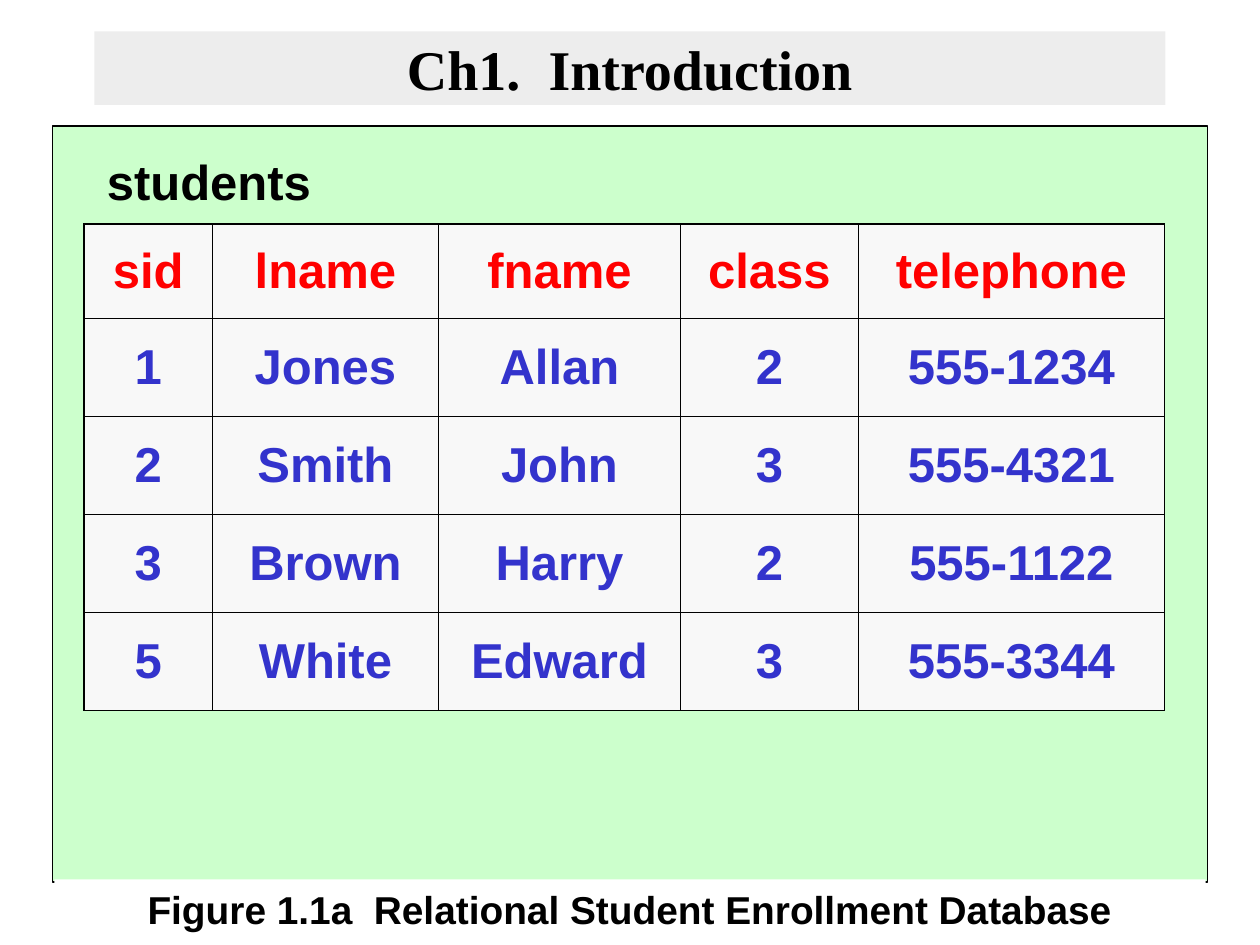
from lxml import etree
from pptx import Presentation
from pptx.dml.color import RGBColor
from pptx.enum.shapes import MSO_SHAPE
from pptx.enum.text import MSO_ANCHOR, PP_ALIGN
from pptx.oxml.ns import qn
from pptx.util import Pt

RECT = MSO_SHAPE.RECTANGLE
TOP, MID = MSO_ANCHOR.TOP, MSO_ANCHOR.MIDDLE
LEFT, MIDDLE = PP_ALIGN.LEFT, PP_ALIGN.CENTER

TITLE = "Ch1.  Introduction"
LABEL = "students"
CAPTION = "Figure 1.1a  Relational Student Enrollment Database"
ROWS = [
    ("sid", "lname", "fname", "class", "telephone"),
    ("1", "Jones", "Allan", "2", "555-1234"),
    ("2", "Smith", "John", "3", "555-4321"),
    ("3", "Brown", "Harry", "2", "555-1122"),
    ("5", "White", "Edward", "3", "555-3344"),
]
COLORS = {
    "panel": "CCFFCC", "banner": "DDDDDD", "paper": "FFFFFF",
    "cell": "F8F8F8", "ink": "000000", "head": "FF0000", "data": "3333CC",
}
WIDTHS = [73.5, 129, 138.5, 101.5, 175]
HEIGHTS = [54] + [56] * (len(ROWS) - 1)
THIN, THICK = 0.45, 1.08


def color(name):
    """Return a named colour."""
    return RGBColor.from_string(COLORS[name])


def write(frame, text, size=28, font="Arial", ink="ink", align=MIDDLE, before=0):
    """Put one bold paragraph in a text frame."""
    para = frame.paragraphs[0]
    para.alignment = align
    para.space_before = Pt(before)
    run = para.add_run()
    run.text = text
    run.font.size, run.font.name, run.font.bold = Pt(size), font, True
    run.font.color.rgb = color(ink)


def block(slide, box, fill, line=None, alpha=None, anchor=TOP):
    """Add a plain rectangle and return it."""
    shape = slide.shapes.add_shape(RECT, *map(Pt, box))
    shape.shadow.inherit = False
    shape.fill.solid()
    shape.fill.fore_color.rgb = color(fill)
    if alpha:
        tone = shape._element.spPr.find(qn("a:solidFill"))[0]
        etree.SubElement(tone, qn("a:alpha"), val=str(alpha * 1000))
    if line:
        shape.line.color.rgb = color("ink")
        shape.line.width = Pt(line)
    else:
        shape.line.fill.background()
    shape.text_frame.word_wrap = True
    shape.text_frame.vertical_anchor = anchor
    return shape


def border(cell, widths):
    """Draw the four cell edges, given left, right, top, bottom widths."""
    props = cell._tc.get_or_add_tcPr()
    for side, width in zip("LRTB", widths):
        edge = etree.SubElement(props, qn("a:ln" + side), w=str(Pt(width)))
        fill = etree.SubElement(edge, qn("a:solidFill"))
        etree.SubElement(fill, qn("a:srgbClr"), val=COLORS["ink"])


def grid(slide, left, top):
    """Add the student table with a thicker outer frame."""
    table = slide.shapes.add_table(
        len(ROWS), len(WIDTHS), Pt(left), Pt(top),
        Pt(sum(WIDTHS)), Pt(sum(HEIGHTS))).table
    table.horz_banding = False
    for col, width in zip(table.columns, WIDTHS):
        col.width = Pt(width)
    for row, height in zip(table.rows, HEIGHTS):
        row.height = Pt(height)
    for r, words in enumerate(ROWS):
        for c, word in enumerate(words):
            cell = table.cell(r, c)
            outer = (c == 0, c == len(WIDTHS) - 1, r == 0, r == len(ROWS) - 1)
            border(cell, [THICK if edge else THIN for edge in outer])
            cell.fill.solid()
            cell.fill.fore_color.rgb = color("cell")
            cell.vertical_anchor = MID
            write(cell.text_frame, word, ink="data" if r else "head", before=7)


def main():
    """Build and save the slide."""
    deck = Presentation()
    deck.slide_width, deck.slide_height = Pt(720), Pt(540)
    slide = deck.slides.add_slide(deck.slide_layouts[6])

    block(slide, (30, 72, 660, 432), "panel", line=0.74)
    title = block(slide, (54, 18, 612, 42), "banner", alpha=50, anchor=MID)
    write(title.text_frame, TITLE, size=32, font="Times New Roman")
    note = block(slide, (31, 502.5, 658, 36), "paper")
    write(note.text_frame, CAPTION, size=22.2, before=6)
    grid(slide, 48, 128)

    label = slide.shapes.add_textbox(Pt(54), Pt(83), Pt(142), Pt(41))
    label.text_frame.word_wrap = True
    write(label.text_frame, LABEL, align=LEFT, before=17.5)
    deck.save("out.pptx")


main()
